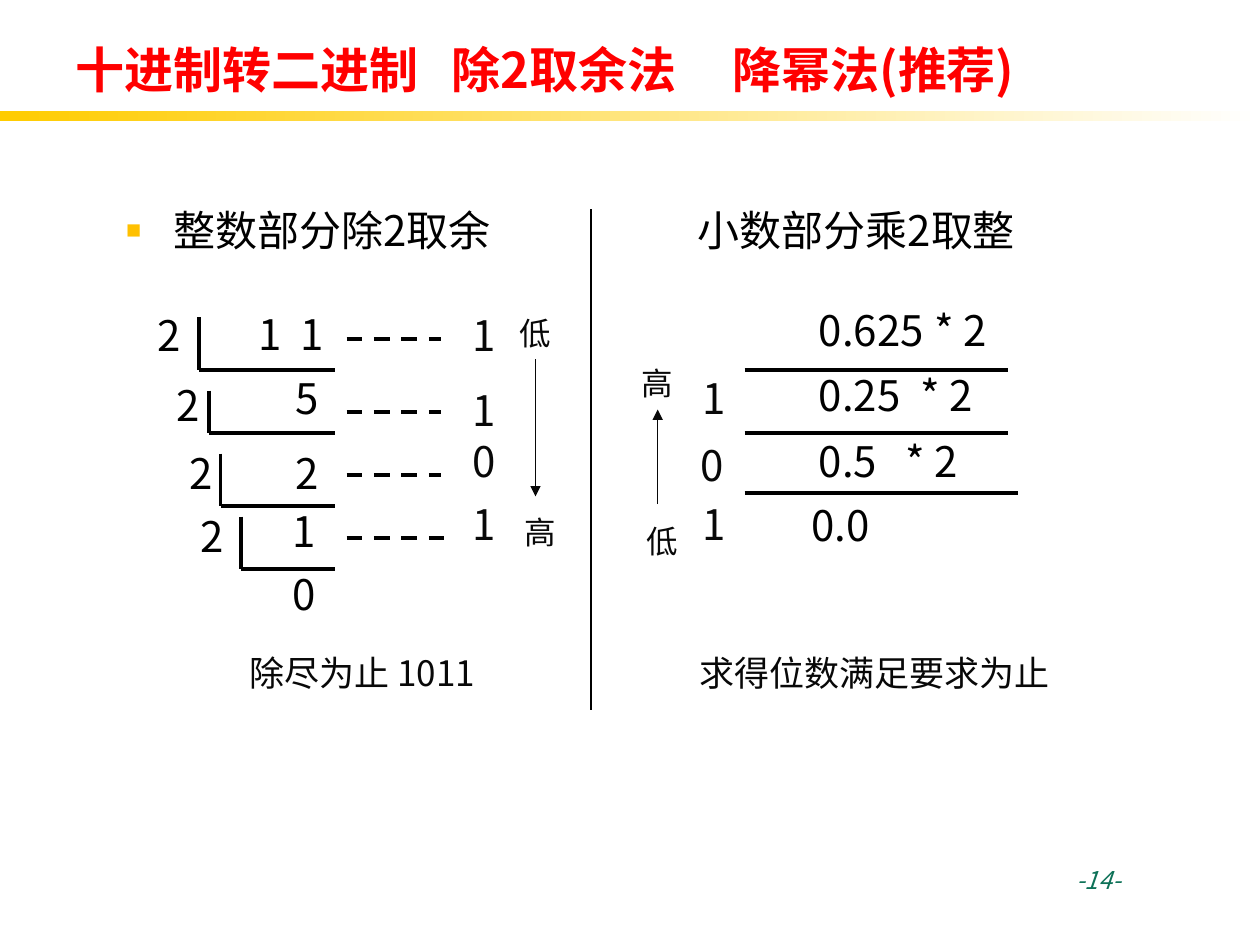
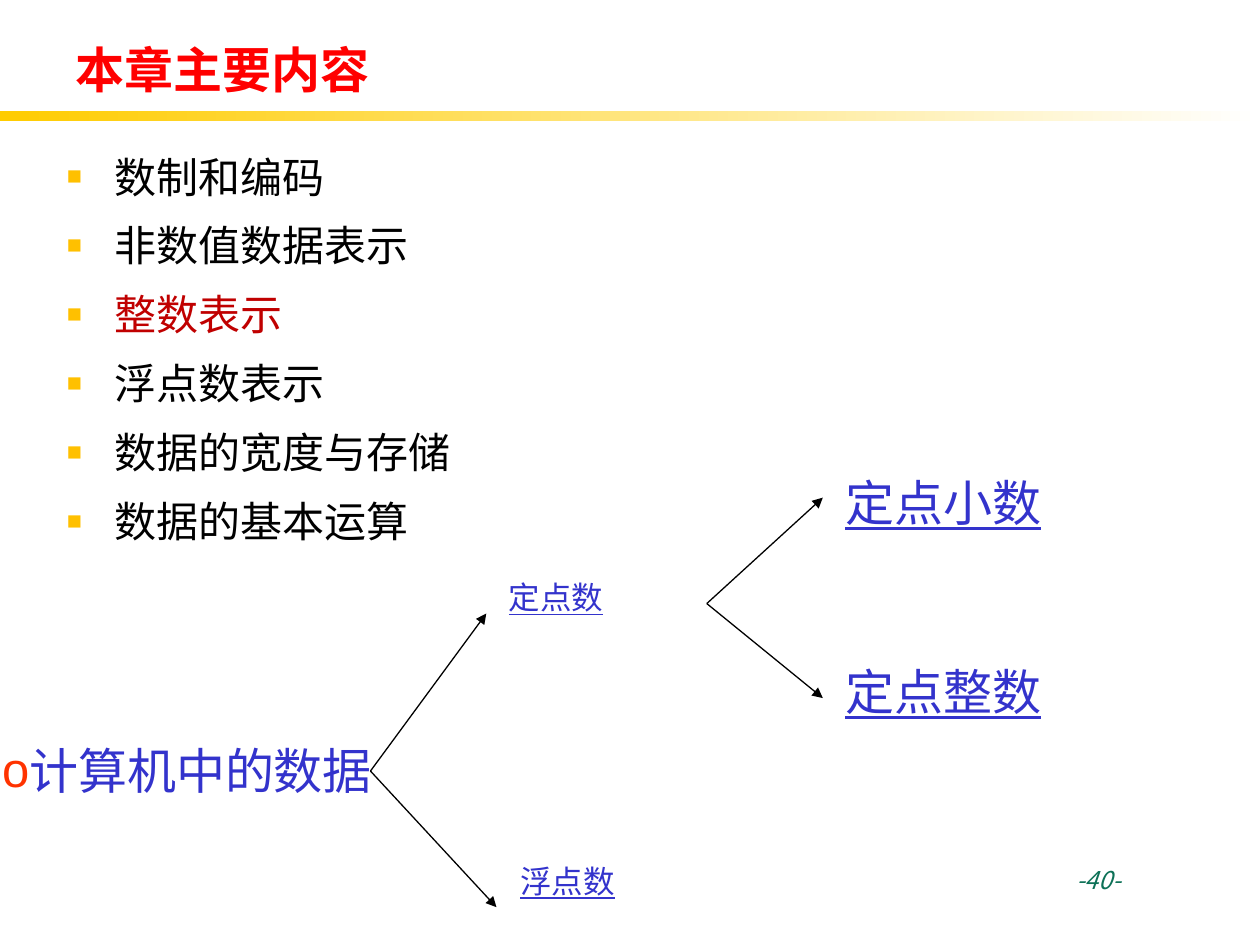
from dataclasses import dataclass

from lxml.etree import SubElement
from pptx import Presentation
from pptx.dml.color import RGBColor
from pptx.enum.dml import MSO_LINE
from pptx.enum.shapes import MSO_CONNECTOR, MSO_SHAPE
from pptx.enum.text import MSO_ANCHOR, MSO_AUTO_SIZE, PP_ALIGN
from pptx.oxml.ns import qn
from pptx.util import Pt


@dataclass(frozen=True)
class Theme:
    face: str = "Noto Sans CJK SC"
    latin: str = "Arial"
    red: str = "FF0000"
    dark: str = "C00000"
    gold: str = "FFCC00"
    amber: str = "FFC000"
    flame: str = "FF3300"
    blue: str = "3333CC"
    green: str = "0D7157"
    black: str = "000000"
    ink: str = "080808"
    white: str = "FFFFFF"
    head: float = 28
    main: float = 24
    note: float = 20
    mark: float = 18
    foot: float = 14
    thin: float = 0.75
    bold: float = 2.25


LEFT, MID, RIGHT = PP_ALIGN.LEFT, PP_ALIGN.CENTER, PP_ALIGN.RIGHT
DIGIT = 27  # width of a box that holds one digit


def assign(item, values):
    for name, value in values.items():
        setattr(item, name, value)


class Deck:
    def __init__(self, theme):
        self.theme = theme
        self.prs = Presentation()
        assign(self.prs, {"slide_width": Pt(720), "slide_height": Pt(540)})
        self.slide = None

    def start(self, layout, title, number, tabs=()):
        """Add a slide with its title, band and page number."""
        t = self.theme
        self.slide = self.prs.slides.add_slide(self.prs.slide_layouts[layout])
        self.band()
        shape = self.slide.shapes.title
        self.place(shape, 36, 16.6, 648, 46)
        shape.text_frame.vertical_anchor = MSO_ANCHOR.MIDDLE
        self.fill(shape.text_frame.paragraphs[0], title, t.head, t.red,
                  tabs=tabs, bold=True)
        self.text(f"-{number}-", 608, 491, 76, t.foot, t.green, italic=True)

    def band(self):
        shape = self.slide.shapes.add_shape(
            MSO_SHAPE.RECTANGLE, Pt(0), Pt(63.2), Pt(720), Pt(5.8))
        shape.shadow.inherit = False
        shape.line.fill.background()
        shape.fill.gradient()
        shape.fill.gradient_angle = 0
        ends = (self.theme.gold, 0), (self.theme.white, 1)
        for stop, (color, at) in zip(shape.fill.gradient_stops, ends):
            stop.color.rgb = RGBColor.from_string(color)
            stop.position = at

    def place(self, shape, x, y, w, h):
        assign(shape, {"left": Pt(x), "top": Pt(y),
                       "width": Pt(w), "height": Pt(h)})
        assign(shape.text_frame, {"word_wrap": True,
                                  "auto_size": MSO_AUTO_SIZE.NONE})

    def fill(self, para, words, size, color, align=LEFT, face=None,
             bullet=None, tabs=(), **style):
        """Give a paragraph its bullet, tab stops and one run of text."""
        props = para._p.get_or_add_pPr()
        if bullet:
            self.bullet(props, *bullet)
        if tabs:
            stops = SubElement(props, qn("a:tabLst"))
            for at in tabs:
                SubElement(stops, qn("a:tab"), pos=str(Pt(at)), algn="l")
        para.alignment = align
        run = para.add_run()
        run.text = words
        assign(run.font, {"name": face or self.theme.face,
                          "size": Pt(size), **style})
        run.font.color.rgb = RGBColor.from_string(color)
        SubElement(run._r.rPr, qn("a:ea"), typeface=self.theme.face)

    def bullet(self, props, sign, color, scale):
        tint = SubElement(props, qn("a:buClr"))
        SubElement(tint, qn("a:srgbClr"), val=color)
        SubElement(props, qn("a:buSzPct"), val=str(scale * 1000))
        SubElement(props, qn("a:buFont"), typeface=self.theme.latin)
        SubElement(props, qn("a:buChar"), char=sign)

    def list(self, slot, x, y, w, h, items, marked=True):
        """Fill a body placeholder with (words, color) items."""
        t = self.theme
        shape = self.slide.placeholders[slot]
        self.place(shape, x, y, w, h)
        frame = shape.text_frame
        for i, (words, color) in enumerate(items):
            para = frame.add_paragraph() if i else frame.paragraphs[0]
            assign(para, {"line_spacing": 1.2,
                          "space_before": Pt(4.8 if i else 0)})
            props = para._p.get_or_add_pPr()
            indent = 27 if marked else 0
            props.set("marL", str(Pt(indent)))
            props.set("indent", str(Pt(-indent)))
            if not marked:
                SubElement(props, qn("a:buNone"))
            self.fill(para, words, t.main, color,
                      bullet=("■", t.amber, 60) if marked else None)

    def text(self, words, x, y, w, size, color, **style):
        box = self.slide.shapes.add_textbox(Pt(x), Pt(y), Pt(w), Pt(0))
        self.place(box, x, y, w, size * 1.2 + 7.2)
        self.fill(box.text_frame.paragraphs[0], words, size, color, **style)
        return box

    def digit(self, sign, x, y, color):
        box = self.text(sign, x, y, DIGIT, self.theme.main, color, align=RIGHT)
        box.text_frame.word_wrap = False

    def line(self, x1, y1, x2, y2, width, color=None, dash=None, arrow=False):
        link = self.slide.shapes.add_connector(
            MSO_CONNECTOR.STRAIGHT, Pt(x1), Pt(y1), Pt(x2), Pt(y2))
        link.line.color.rgb = RGBColor.from_string(color or self.theme.black)
        assign(link.line, {"width": Pt(width), "dash_style": dash})
        props = link._element.spPr
        if arrow:
            SubElement(props.find(qn("a:ln")), qn("a:tailEnd"),
                       type="triangle")
        SubElement(props, qn("a:effectLst"))


def divide(deck):
    """Draw the ladder of divisions by two with its remainders."""
    t = deck.theme
    bars = [(113.8, 181.4, 211.7), (119.5, 223.2, 247.7),
            (126, 259.2, 289.4), (137.5, 295.2, 325.4)]
    twos = [(83.5, 173.5), (94.3, 213.1), (101.5, 252), (108, 288)]
    for (x, top, low), two in zip(bars, twos):
        deck.line(x, top, x, low, t.bold)
        deck.line(x, low, 191.5, low, t.bold)
        deck.digit("2", *two, t.black)
    deck.text("1\t1", 140.8, 172.8, 60, t.main, t.black, tabs=[24])
    parts = [("5", 162, 209.5), ("2", 162, 252),
             ("1", 160.6, 285.1), ("0", 160.6, 321.1)]
    for part in parts:
        deck.digit(*part, t.black)
    rests = [("1", 193.7, 252, 173.5), ("1", 235.4, 252, 216),
             ("0", 271.4, 252, 245.5), ("1", 307.4, 257.8, 281.5)]
    for sign, y, end, top in rests:
        deck.line(198, y, end, y, t.bold, dash=MSO_LINE.DASH)
        deck.digit(sign, 263.5, top, t.ink)


def double(deck):
    """Draw the products by two with their whole parts."""
    t = deck.theme
    rows = [("0.625", 170.6, 66, 211.7, 576), ("0.25", 207.4, 58, 247.7, 576),
            ("0.5", 245.5, 49.5, 281.5, 581.8)]
    for term, top, tab, y, end in rows:
        deck.text(f"{term}\t* 2", 460.8, top, 130, t.main, t.black, tabs=[tab])
        deck.line(425.5, y, end, y, t.bold)
    deck.text("0.0", 456.5, 282.2, 60, t.main, t.black)
    for sign, x, y in [("1", 394.6, 209.5), ("0", 393.6, 247.7),
                       ("1", 394.6, 281.5)]:
        deck.digit(sign, x, y, t.ink)


def convert(deck):
    t = deck.theme
    deck.start(3, "十进制转二进制\t除2取余法\t降幂法(推荐)", 14, tabs=[215, 375.5])
    deck.list(1, 64.8, 107.3, 260, 60, [("整数部分除2取余", t.black)])
    deck.list(2, 391.5, 107.3, 260, 60, [("小数部分乘2取整", t.black)], False)
    divide(deck)
    double(deck)
    deck.line(337.7, 119.5, 337.7, 406, t.thin)
    for sign, x, y, w in [("低", 288, 175.7, 36), ("高", 288, 289.4, 41.8),
                          ("高", 357.8, 204.5, 36), ("低", 357.8, 294.5, 41.8)]:
        deck.text(sign, x, y, w, t.mark, t.ink, align=MID)
    for x, start, end in [(306, 205.2, 283.7), (375.8, 288, 234)]:
        deck.line(x, start, x, end, t.thin, t.ink, arrow=True)
    for words, x, w in [("除尽为止 1011", 103, 208),
                        ("求得位数满足要求为止", 329.8, 339.8)]:
        deck.text(words, x, 368.6, w, t.note, t.ink, align=MID)


def outline(deck):
    t = deck.theme
    deck.start(1, "本章主要内容", 40)
    topics = ["数制和编码", "非数值数据表示", "整数表示", "浮点数表示",
              "数据的宽度与存储", "数据的基本运算"]
    deck.list(1, 31, 77, 647, 397,
              [(topic, t.dark if topic == "整数表示" else t.black)
               for topic in topics])
    deck.text("计算机中的数据", -5.8, 419.8, 247.7, t.head, t.blue,
              face=t.latin, bullet=("o", t.flame, 100))
    for words, x, y, w, size in [("定点数", 283.7, 326.9, 131.8, t.mark),
                                 ("浮点数", 290.2, 488.9, 131.8, t.mark),
                                 ("定点小数", 475.9, 266.4, 174.2, t.head),
                                 ("定点整数", 475.9, 374.4, 174.2, t.head)]:
        deck.text(words, x, y, w, size, t.blue, face=t.latin, underline=True)
    forks = [((211.7, 440.6), [(277.9, 350.6), (283.7, 518.4)]),
             ((403.9, 344.9), [(470.2, 284.4), (470.2, 398.9)])]
    for root, tips in forks:
        for tip in tips:
            deck.line(*root, *tip, t.thin, arrow=True)


def main():
    deck = Deck(Theme())
    convert(deck)
    outline(deck)
    deck.prs.save("out.pptx")


if __name__ == "__main__":
    main()
